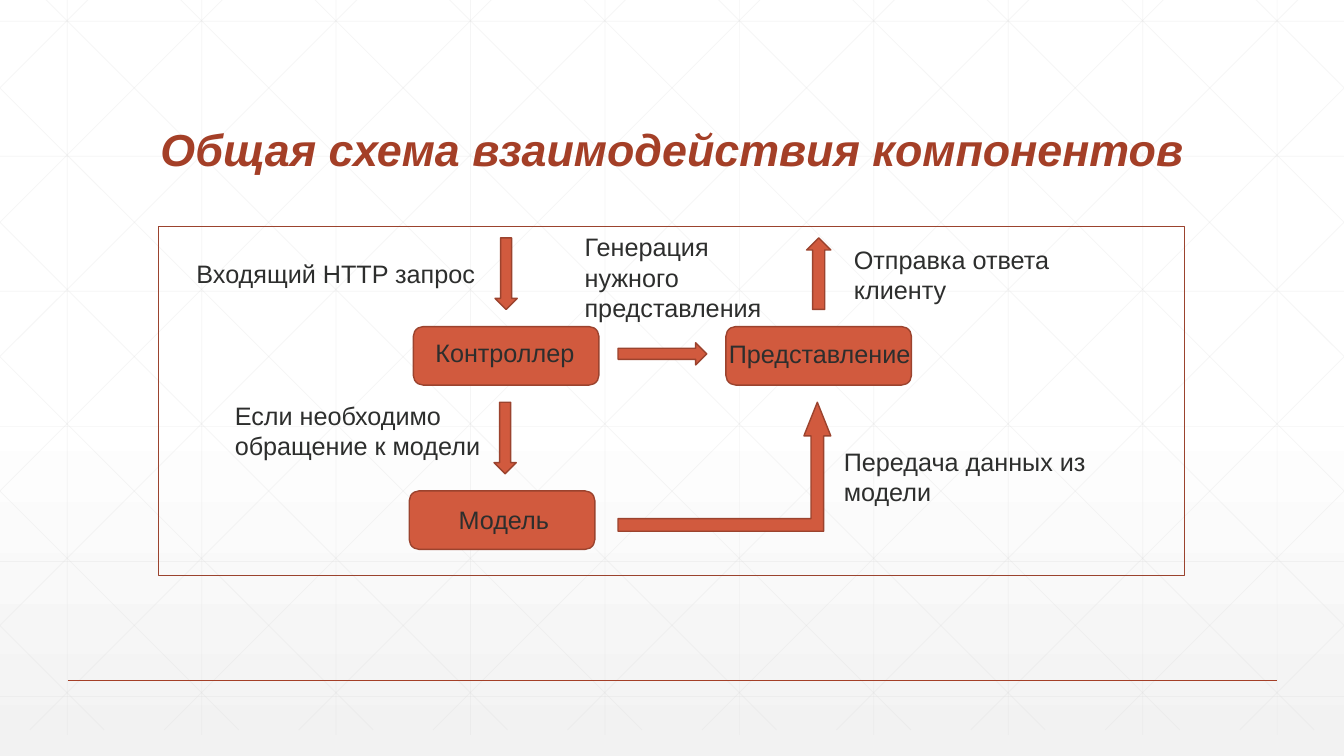
from dataclasses import dataclass

from lxml import etree
from pptx import Presentation
from pptx.dml.color import RGBColor
from pptx.enum.shapes import MSO_CONNECTOR, MSO_SHAPE
from pptx.enum.text import MSO_ANCHOR, MSO_AUTO_SIZE, PP_ALIGN
from pptx.oxml.ns import qn
from pptx.util import Inches, Pt

LINE = MSO_CONNECTOR.STRAIGHT
RECT, BLOCK = MSO_SHAPE.RECTANGLE, MSO_SHAPE.ROUNDED_RECTANGLE
DOWN, UP = MSO_SHAPE.DOWN_ARROW, MSO_SHAPE.UP_ARROW
RIGHT, BENT = MSO_SHAPE.RIGHT_ARROW, MSO_SHAPE.BENT_UP_ARROW
TOP, BOTTOM = MSO_ANCHOR.TOP, MSO_ANCHOR.BOTTOM
LEFT, CENTER = PP_ALIGN.LEFT, PP_ALIGN.CENTER
FIT, FIXED = MSO_AUTO_SIZE.SHAPE_TO_FIT_TEXT, MSO_AUTO_SIZE.NONE


@dataclass(frozen=True)
class Theme:
    """Colours, font and type sizes of the slide."""
    font: str = "Arial"
    title: int = 32
    body: int = 18
    ink: str = "2D2E2D"
    accent: str = "A43F27"
    fill: str = "D15A3E"
    edge: str = "9B432E"
    grid: str = "D9D9D9"
    light: str = "FFFFFF"
    shade: str = "F2F2F2"


THEME = Theme()
WIDTH, HEIGHT = 13.33, 7.5
STEP = 4 / 3


def color(code):
    """Turn a hex code into a colour."""
    return RGBColor.from_string(code)


def add_line(slide, start, end, code, width, alpha=None):
    """Draw a straight line, see-through if alpha is given in percent."""
    line = slide.shapes.add_connector(LINE, *map(Inches, start + end))
    line.line.color.rgb = color(code)
    line.line.width = Pt(width)
    etree.SubElement(line._element.spPr, qn("a:effectLst"))
    if alpha:
        tint = line._element.spPr.find(".//" + qn("a:srgbClr"))
        etree.SubElement(tint, qn("a:alpha")).set("val", str(alpha * 1000))


def add_form(slide, kind, box, fill=None, adjust=()):
    """Draw a preset shape with a thin edge."""
    form = slide.shapes.add_shape(kind, *map(Inches, box))
    form.shadow.inherit = False
    if fill:
        form.fill.solid()
        form.fill.fore_color.rgb = color(fill)
    else:
        form.fill.background()
    form.line.color.rgb = color(THEME.edge)
    form.line.width = Pt(1)
    for index, value in enumerate(adjust):
        form.adjustments[index] = value


def add_text(slide, text, box, size=THEME.body, code=THEME.ink, strong=False,
             align=LEFT, anchor=TOP, fit=FIT, space=1.0):
    """Place wrapped text in a box."""
    frame = slide.shapes.add_textbox(*map(Inches, box)).text_frame
    frame.word_wrap = True
    frame.auto_size = fit
    frame.vertical_anchor = anchor
    par = frame.paragraphs[0]
    par.alignment = align
    par.line_spacing = space
    run = par.add_run()
    run.text = text
    font = run.font
    font.name, font.size = THEME.font, Pt(size)
    font.bold = font.italic = strong
    font.color.rgb = color(code)


def add_back(slide):
    """Fill the background with a soft vertical gradient."""
    fill = slide.background.fill
    fill.gradient()
    fill.gradient_angle = 270
    for stop, place, code in zip(fill.gradient_stops, (0.53, 1),
                                 (THEME.light, THEME.shade)):
        stop.position = place
        stop.color.rgb = color(code)


def add_grid(slide, box):
    """Draw upright, level and crossing slanted lines clipped to the box."""
    left, top, width, height = box
    lines = []
    for col in range(10):
        x = left + STEP * (col + 0.5)
        lines.append(((x, top), (x, top + height)))
    for row in range(6):
        y = top + 0.42 + 1.34 * row
        lines.append(((left, y), (left + width, y)))
    for col in range(-5, 10):
        x = 0.25 + STEP * col
        near, far = max(x, 0), min(x + 7.45, width)
        y, low = top + near - x, top + min(far - x, height)
        lines.append(((left + near, y), (left + far, low)))
        lines.append(((left + width - near, y), (left + width - far, low)))
    for start, end in lines:
        add_line(slide, start, end, THEME.grid, 0.5, alpha=25)


def add_title(slide, box):
    """Place the heading at the bottom of its box."""
    add_text(slide, "Общая схема взаимодействия компонентов", box,
             size=THEME.title, code=THEME.accent, strong=True, align=CENTER,
             anchor=BOTTOM, fit=FIXED, space=0.9)


def add_scheme(slide, box):
    """Draw the framed scheme of blocks, arrows and labels."""
    left, top = box[:2]

    def put(x, y, w, h):
        """Shift a place into the frame."""
        return left + x, top + y, w, h

    arrows = [
        (DOWN, (3.34, 0.11, 0.22, 0.71), ()),
        (DOWN, (3.33, 1.74, 0.22, 0.71), ()),
        (RIGHT, (4.56, 1.15, 0.88, 0.22), ()),
        (UP, (6.43, 0.11, 0.24, 0.71), ()),
        (BENT, (4.56, 1.74, 2.11, 1.28), (0.098, 0.104, 0.261)),
    ]
    blocks = [(5.63, 0.99), (2.53, 0.99), (2.49, 2.62)]
    labels = [
        ("Входящий HTTP запрос", (0.28, 0.26, 3.05, 0.4)),
        ("Контроллер", (2.65, 1.05, 1.84, 0.4)),
        ("Модель", (2.88, 2.7, 1.8, 0.4)),
        ("Представление", (5.56, 1.06, 2.14, 0.4)),
        ("Если необходимо обращение к модели", (0.66, 1.67, 2.72, 0.71)),
        ("Передача данных из модели", (6.7, 2.13, 3.15, 0.71)),
        ("Отправка ответа клиенту", (6.8, 0.12, 2.91, 0.71)),
        ("Генерация нужного представления", (4.13, 0, 2.39, 1.01)),
    ]
    add_form(slide, RECT, box)
    for kind, place, adjust in arrows:
        add_form(slide, kind, put(*place), THEME.fill, adjust)
    for x, y in blocks:
        add_form(slide, BLOCK, put(x, y, 1.84, 0.58), THEME.fill)
    for text, place in labels:
        add_text(slide, text, put(*place))


def main():
    """Build and save the slide."""
    deck = Presentation()
    deck.slide_width, deck.slide_height = Inches(WIDTH), Inches(HEIGHT)
    slide = deck.slides.add_slide(deck.slide_layouts[6])
    add_back(slide)
    add_grid(slide, (0, -0.21, WIDTH, 7.5))
    add_line(slide, (0.67, 6.75), (12.67, 6.75), THEME.accent, 1)
    add_title(slide, (1.42, 0.55, 10.5, 1.25))
    add_scheme(slide, (1.57, 2.25, 10.18, 3.46))
    deck.save("out.pptx")


if __name__ == "__main__":
    main()
